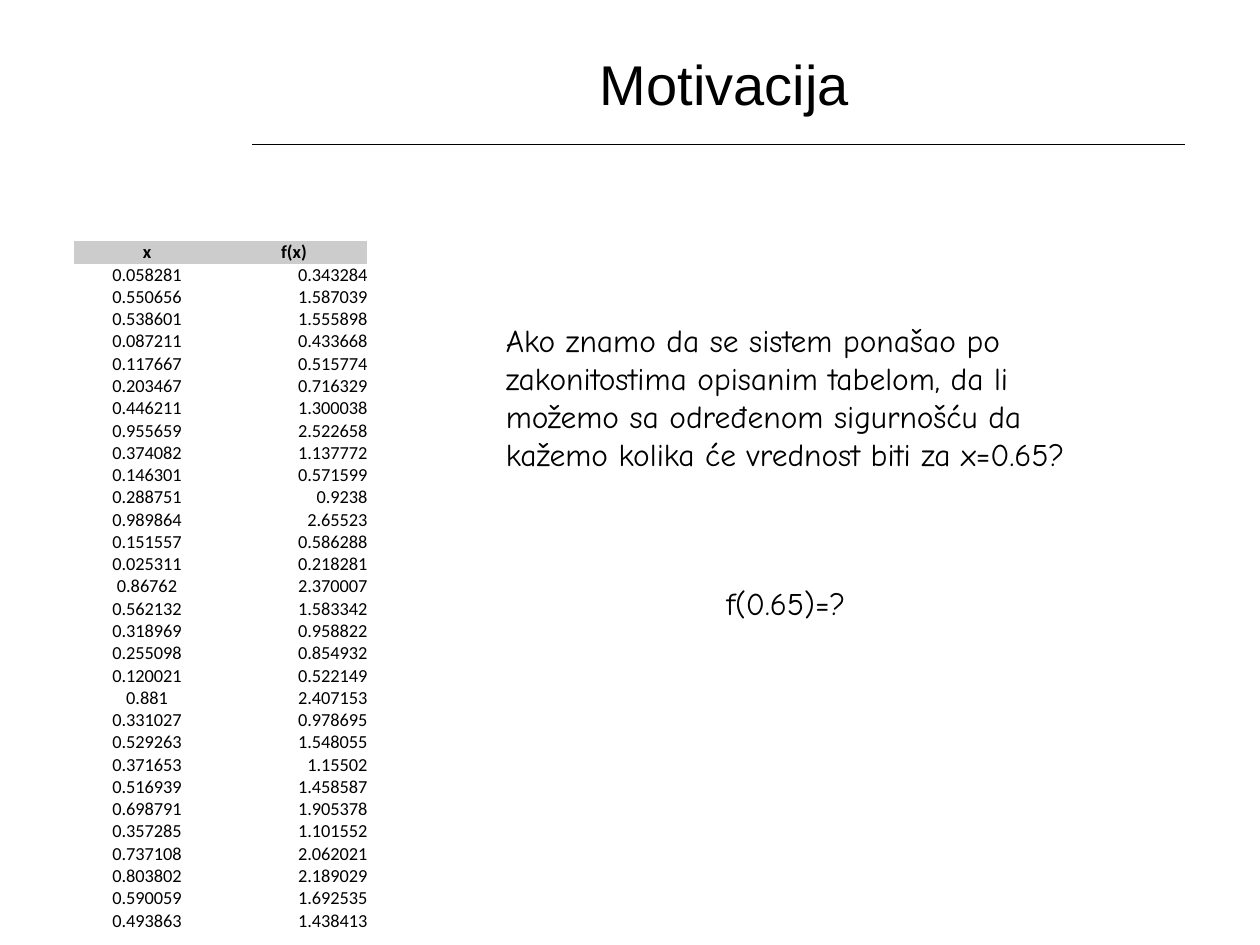
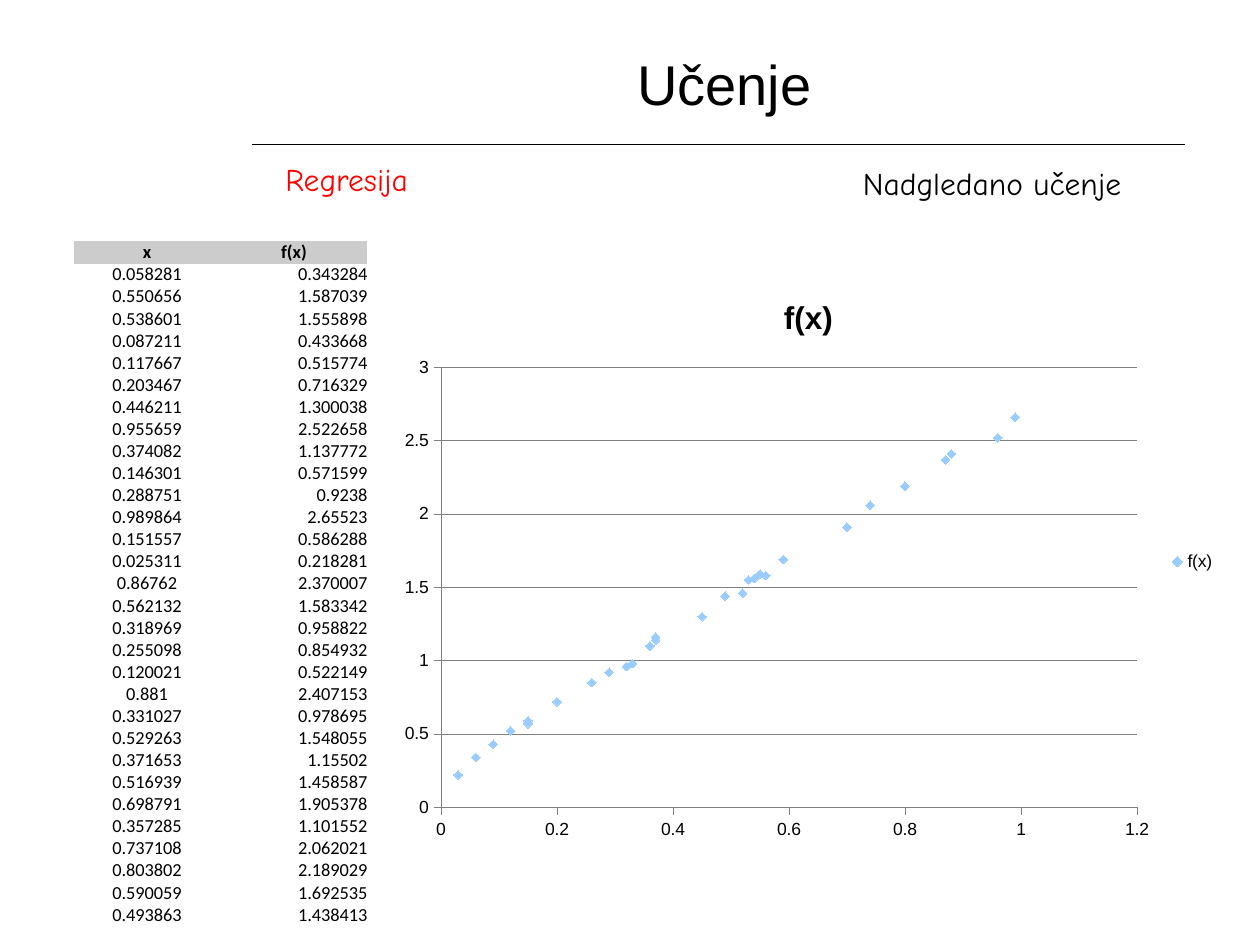
from lxml import etree
from pptx import Presentation
from pptx.chart.data import XyChartData
from pptx.dml.color import RGBColor
from pptx.enum.chart import XL_CHART_TYPE as Kind, XL_LEGEND_POSITION as Legend
from pptx.enum.chart import XL_MARKER_STYLE as Mark, XL_TICK_MARK as Tick
from pptx.enum.shapes import MSO_CONNECTOR as Conn
from pptx.enum.text import MSO_ANCHOR as Anchor, MSO_AUTO_SIZE as Fit, PP_ALIGN as Align
from pptx.oxml.ns import qn
from pptx.util import Inches, Pt

CELL = Inches(1) / 12  # the slide is a grid of 120 columns by 90 rows
BLACK, RED, GREY, DARK, SKY = "000000", "FF0000", "CCCCCC", "808080", "99CCFF"
SANS, HAND, BODY = "Arial", "Comic Neue", "Calibri"
PLAIN = "{2D5ABB26-0587-4C30-8999-92F81FD0307C}"
HEAD = ("x", "f(x)")
DATA = [row.split() for row in """\
0.058281 0.343284
0.550656 1.587039
0.538601 1.555898
0.087211 0.433668
0.117667 0.515774
0.203467 0.716329
0.446211 1.300038
0.955659 2.522658
0.374082 1.137772
0.146301 0.571599
0.288751 0.9238
0.989864 2.65523
0.151557 0.586288
0.025311 0.218281
0.86762 2.370007
0.562132 1.583342
0.318969 0.958822
0.255098 0.854932
0.120021 0.522149
0.881 2.407153
0.331027 0.978695
0.529263 1.548055
0.371653 1.15502
0.516939 1.458587
0.698791 1.905378
0.357285 1.101552
0.737108 2.062021
0.803802 2.189029
0.590059 1.692535
0.493863 1.438413""".splitlines()]


def grid(*spans):
    return [round(span * CELL) for span in spans]


def color(code):
    return RGBColor.from_string(code)


def style(font, name, size, code=BLACK, bold=False):
    font.name, font.size, font.bold = name, Pt(size), bold
    font.color.rgb = color(code)


def write(frame, text, name, size, code=BLACK, bold=False, align=Align.LEFT):
    frame.text = text
    para = frame.paragraphs[0]
    para.alignment = align
    style(para.runs[0].font, name, size, code, bold)


def draw(line, code, width):
    line.color.rgb = color(code)
    line.width = Pt(width)


def add_note(slide, text, box, code=BLACK):
    frame = slide.shapes.add_textbox(*grid(*box)).text_frame
    frame.word_wrap = True
    frame.auto_size = Fit.SHAPE_TO_FIT_TEXT
    write(frame, text, HAND, 18, code)


def add_slide(deck, title):
    """Start a slide with the shared rule and centred title."""
    slide = deck.slides.add_slide(deck.slide_layouts[6])
    rule = slide.shapes.add_connector(Conn.STRAIGHT, *grid(24, 13.75, 112.9, 13.75))
    draw(rule.line, BLACK, 0.75)
    etree.SubElement(rule._element.spPr, qn("a:effectLst"))
    frame = slide.shapes.add_textbox(*grid(24, 3.4, 90, 9)).text_frame
    frame.word_wrap = True
    frame.vertical_anchor = Anchor.MIDDLE
    write(frame, title, SANS, 32, align=Align.CENTER)
    return slide


def add_data(slide, pitch):
    """Add the table of samples, its rows at least pitch points high."""
    rows = [HEAD, *DATA]
    shape = slide.shapes.add_table(len(rows), len(HEAD), *grid(7, 23, 28, 65))
    table = shape.table
    table.first_row = table.horz_banding = False
    next(shape._element.iter(qn("a:tableStyleId"))).text = PLAIN
    for r, row in enumerate(rows):
        table.rows[r].height = Pt(pitch)
        for c, text in enumerate(row):
            cell, head = table.cell(r, c), r == 0
            cell.margin_left = cell.margin_right = 0
            cell.margin_top = cell.margin_bottom = 0
            cell.vertical_anchor = Anchor.BOTTOM
            if head:
                cell.fill.solid()
                cell.fill.fore_color.rgb = color(GREY)
            else:
                cell.fill.background()
            align = Align.CENTER if head or c == 0 else Align.RIGHT
            write(cell.text_frame, text, BODY, 10.5, bold=head, align=align)
    shape.height = grid(65)[0]


def set_axis(axis, top, step, lines):
    axis.minimum_scale, axis.maximum_scale, axis.major_unit = 0, top, step
    axis.major_tick_mark, axis.minor_tick_mark = Tick.OUTSIDE, Tick.NONE
    axis.has_major_gridlines = lines
    draw(axis.format.line, DARK, 0.25)
    if lines:
        draw(axis.major_gridlines.format.line, DARK, 0.25)


def place_plot(chart, **share):
    """Fix the inner plot area as shares of the chart's size."""
    area = chart._chartSpace.chart.plotArea
    for old in area.findall(qn("c:layout")):
        area.remove(old)
    layout = etree.Element(qn("c:layout"))
    area.insert(0, layout)
    manual = etree.SubElement(layout, qn("c:manualLayout"))
    parts = dict(layoutTarget="inner", xMode="edge", yMode="edge", **share)
    for tag, val in parts.items():
        etree.SubElement(manual, qn(f"c:{tag}")).set("val", str(val))


def add_plot(slide):
    wide, high = 80, 55
    data = XyChartData()
    points = data.add_series(HEAD[1])
    for x, y in DATA:
        points.add_data_point(round(float(x), 2), round(float(y), 2))
    box = grid(37, 26, wide, high)
    chart = slide.shapes.add_chart(Kind.XY_SCATTER, *box, data).chart
    style(chart.font, SANS, 10)
    chart.has_title = True
    write(chart.chart_title.text_frame, HEAD[1], SANS, 18, bold=True, align=Align.CENTER)
    chart.has_legend = True
    chart.legend.position = Legend.RIGHT
    chart.legend.include_in_layout = False
    set_axis(chart.category_axis, 1.2, 0.2, False)
    set_axis(chart.value_axis, 3, 0.5, True)
    chart.plots[0].vary_by_categories = False
    series = chart.plots[0].series[0]
    series.smooth = False
    series.format.line.fill.background()
    mark = series.marker
    mark.style, mark.size = Mark.DIAMOND, 5
    mark.format.fill.solid()
    mark.format.fill.fore_color.rgb = color(SKY)
    mark.format.line.fill.background()
    place_plot(chart, x=5 / wide, y=9 / high, w=66.3 / wide, h=41.9 / high)


def main():
    deck = Presentation()
    deck.slide_width, deck.slide_height = grid(120, 90)

    slide = add_slide(deck, "Motivacija")
    add_data(slide, 12.75)
    add_note(slide, "Ako znamo da se sistem ponašao po zakonitostima opisanim tabelom, "
             "da li možemo sa određenom sigurnošću da kažemo kolika će vrednost "
             "biti za x=0.65?", (47, 30, 61, 15.7))
    add_note(slide, "f(0.65)=?", (68, 55, 17, 4.8))

    slide = add_slide(deck, "Učenje")
    add_note(slide, "Nadgledano učenje", (81, 15, 33, 4.8))
    add_data(slide, 10)
    add_plot(slide)
    add_note(slide, "Regresija", (26, 14.65, 33, 4.8), RED)

    deck.save("out.pptx")


if __name__ == "__main__":
    main()
